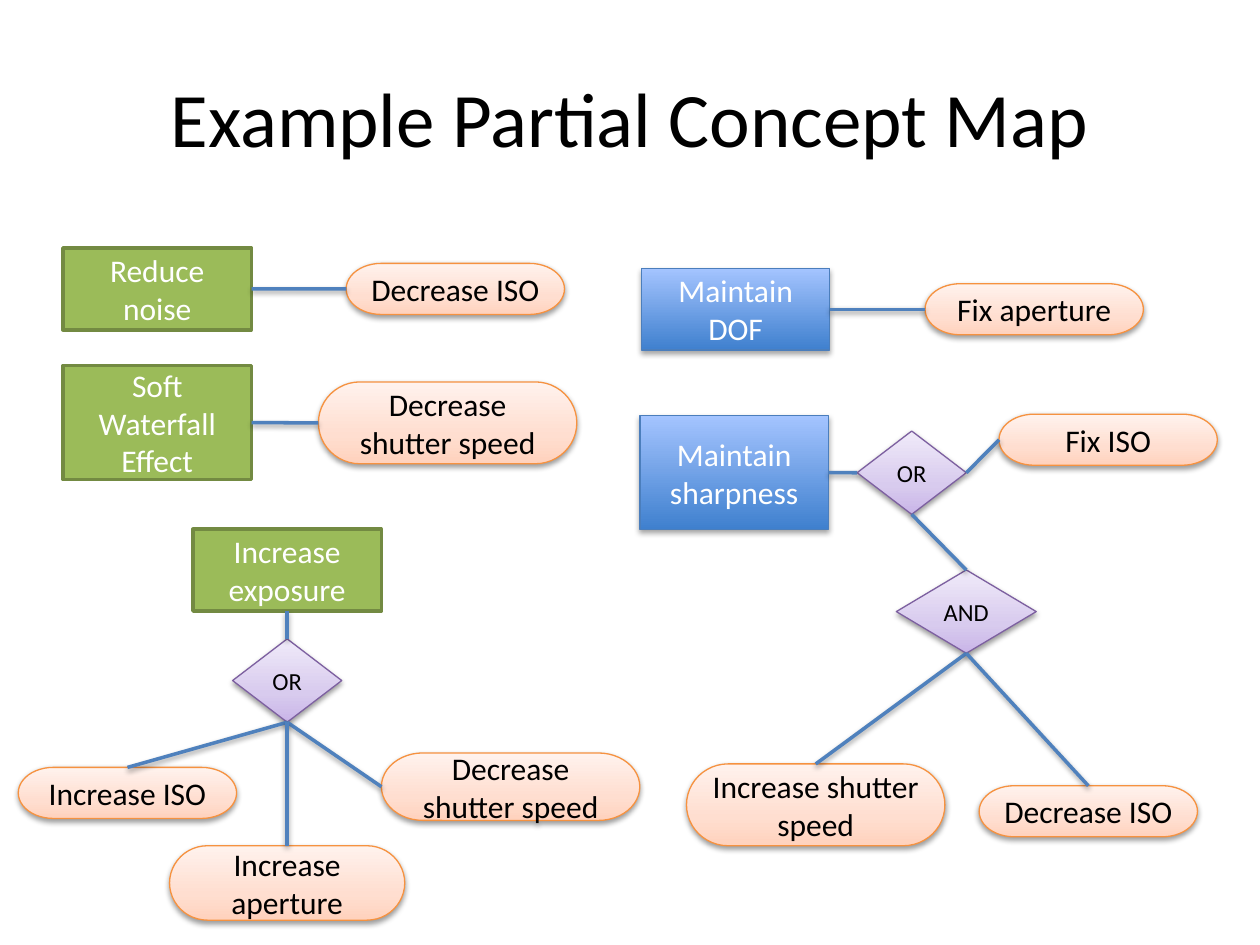
from lxml import etree
from pptx import Presentation, util as u
from pptx.dml import color
from pptx.enum import shapes, text
from pptx.oxml import ns

Kind = shapes.MSO_SHAPE
TOP, LEFT, BOTTOM, RIGHT = range(4)
STYLES = {
    "goal": (Kind.RECTANGLE, [(0, "9BBB59")], "738A42", 2, "FFFFFF", 18, None),
    "limit": (Kind.RECTANGLE, [(0, "3F80CE"), (100, "A4C4FF")],
              "4B7EBC", 0.75, "FFFFFF", 18, (35, 23000)),
    "act": (Kind.FLOWCHART_TERMINATOR, [(0, "FFD2BD"), (35, "FFDED0"), (100, "FFF2ED")],
            "F69240", 0.75, "000000", 18, (38, 20000)),
    "gate": (Kind.FLOWCHART_DECISION, [(0, "C9B5E8"), (35, "D8CBEE"), (100, "F0EAF9")],
             "7D60A0", 0.75, "000000", 14, (38, 20000)),
}
NODES = [
    ("noise", "goal", "Reduce noise", 1.27, 5, 3.8, 1.65),
    ("noise iso", "act", "Decrease ISO", 6.98, 5.31, 4.4, 1.03),
    ("soft", "goal", "Soft Waterfall Effect", 1.27, 7.37, 3.8, 2.3),
    ("soft speed", "act", "Decrease shutter speed", 6.42, 7.7, 5.21, 1.65),
    ("light", "goal", "Increase exposure", 3.89, 10.67, 3.8, 1.65),
    ("light or", "gate", "OR", 4.69, 12.88, 2.2, 1.68),
    ("light iso", "act", "Increase ISO", 0.37, 15.47, 4.4, 1.03),
    ("light speed", "act", "Decrease shutter speed", 7.69, 15.18, 5.21, 1.36),
    ("light lens", "act", "Increase aperture", 3.42, 17.05, 4.74, 1.5),
    ("depth", "limit", "Maintain DOF", 12.93, 5.41, 3.8, 1.65),
    ("depth lens", "act", "Fix aperture", 18.65, 5.72, 4.4, 1.03),
    ("sharp", "limit", "Maintain sharpness", 12.9, 8.38, 3.8, 2.3),
    ("sharp or", "gate", "OR", 17.28, 8.69, 2.2, 1.68),
    ("sharp iso", "act", "Fix ISO", 20.14, 8.35, 4.4, 1.03),
    ("sharp and", "gate", "AND", 18.07, 11.49, 2.82, 1.68),
    ("and speed", "act", "Increase shutter speed", 13.84, 15.4, 5.21, 1.65),
    ("and iso", "act", "Decrease ISO", 19.74, 15.84, 4.4, 1.03),
]
LINKS = [
    ("noise", RIGHT, "noise iso", LEFT),
    ("soft", RIGHT, "soft speed", LEFT),
    ("light", BOTTOM, "light or", TOP),
    ("light or", BOTTOM, "light iso", TOP),
    ("light or", BOTTOM, "light speed", LEFT),
    ("light or", BOTTOM, "light lens", TOP),
    ("depth", RIGHT, "depth lens", LEFT),
    ("sharp", RIGHT, "sharp or", LEFT),
    ("sharp or", RIGHT, "sharp iso", LEFT),
    ("sharp or", BOTTOM, "sharp and", TOP),
    ("sharp and", BOTTOM, "and speed", TOP),
    ("sharp and", BOTTOM, "and iso", TOP),
]


def rgb(code):
    return color.RGBColor.from_string(code)


def add(parent, tag, **attrs):
    return etree.SubElement(parent, ns.qn(tag), {k: str(v) for k, v in attrs.items()})


def write(frame, words, size, ink):
    frame.word_wrap = True
    frame.vertical_anchor = text.MSO_ANCHOR.MIDDLE
    para = frame.paragraphs[0]
    para.alignment = text.PP_ALIGN.CENTER
    run = para.add_run()
    run.text = words
    run.font.name = "Calibri"
    run.font.size = u.Pt(size)
    run.font.color.rgb = rgb(ink)


def paint(shape, stops):
    if len(stops) == 1:
        shape.fill.solid()
        shape.fill.fore_color.rgb = rgb(stops[0][1])
        return
    shape.fill.gradient()
    shape.fill.gradient_angle = 90
    ramp = shape._element.spPr.find(".//" + ns.qn("a:gsLst"))
    for old in list(ramp):
        ramp.remove(old)
    for place, code in stops:
        add(add(ramp, "a:gs", pos=place * 1000), "a:srgbClr", val=code)


def shade(shape, alpha, dist):
    props = shape._element.spPr
    group = props.find(ns.qn("a:effectLst"))
    if group is None:
        group = add(props, "a:effectLst")
    cast = add(group, "a:outerShdw", blurRad=40000, dist=dist, dir=5400000, rotWithShape=0)
    add(add(cast, "a:srgbClr", val="000000"), "a:alpha", val=alpha * 1000)


def node(slide, style, words, *box):
    kind, stops, edge, width, ink, size, shadow = STYLES[style]
    shape = slide.shapes.add_shape(kind, *map(u.Cm, box))
    shape.shadow.inherit = False
    paint(shape, stops)
    shape.line.color.rgb = rgb(edge)
    shape.line.width = u.Pt(width)
    if shadow:
        shade(shape, *shadow)
    frame = shape.text_frame
    if style == "gate":
        frame.margin_left = frame.margin_right = u.Cm(0)
    write(frame, words, size, ink)
    return shape


def link(slide, start, out, end, into):
    line = slide.shapes.add_connector(shapes.MSO_CONNECTOR.STRAIGHT, 0, 0, 0, 0)
    line.begin_connect(start, out)
    line.end_connect(end, into)
    line.line.color.rgb = rgb("4F81BD")
    line.line.width = u.Pt(2)
    shade(line, 38, 20000)


def title(slide, words):
    head = slide.shapes.title
    head.left, head.top, head.width, head.height = map(u.Cm, (1.27, 0.76, 22.86, 3.18))
    write(head.text_frame, words, 44, "000000")


def main():
    deck = Presentation()
    deck.slide_width, deck.slide_height = u.Cm(25.4), u.Cm(19.05)
    slide = deck.slides.add_slide(deck.slide_layouts[5])
    title(slide, "Example Partial Concept Map")
    nodes = {name: node(slide, *rest) for name, *rest in NODES}
    for start, out, end, into in LINKS:
        link(slide, nodes[start], out, nodes[end], into)
    deck.save("out.pptx")


if __name__ == "__main__":
    main()
